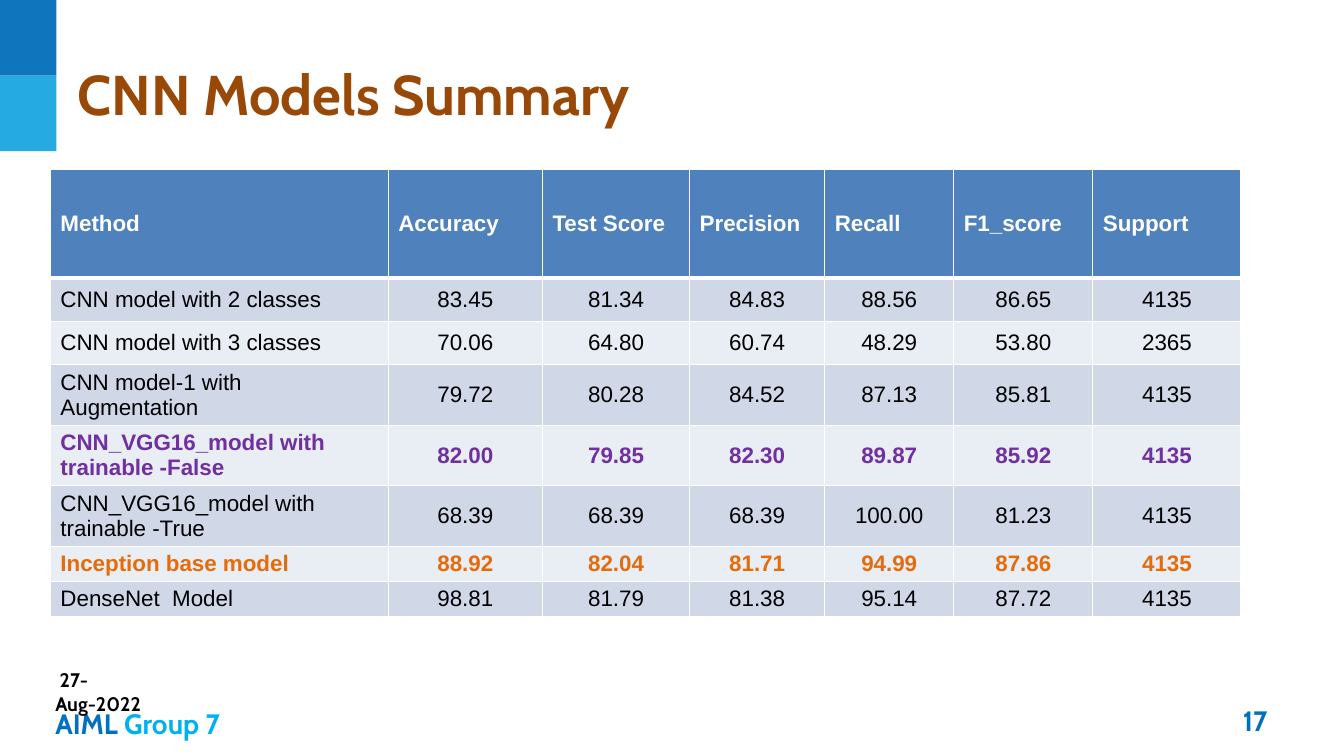
import pptx
import pptx.dml.color
import pptx.enum.shapes
import pptx.enum.text
import pptx.oxml
import pptx.oxml.ns
import pptx.util

Inches = pptx.util.Inches
Pt = pptx.util.Pt
ALIGN = pptx.enum.text.PP_ALIGN
ANCHOR = pptx.enum.text.MSO_ANCHOR

HEADERS = ["Method", "Accuracy", "Test Score", "Precision", "Recall", "F1_score", "Support"]
RESULTS = [
    ["CNN model with 2 classes", "83.45", "81.34", "84.83", "88.56", "86.65", "4135"],
    ["CNN model with 3 classes", "70.06", "64.80", "60.74", "48.29", "53.80", "2365"],
    ["CNN model-1 with Augmentation", "79.72", "80.28", "84.52", "87.13", "85.81", "4135"],
    ["CNN_VGG16_model with trainable -False", "82.00", "79.85", "82.30", "89.87", "85.92", "4135"],
    ["CNN_VGG16_model with trainable -True", "68.39", "68.39", "68.39", "100.00", "81.23", "4135"],
    ["Inception base model", "88.92", "82.04", "81.71", "94.99", "87.86", "4135"],
    ["DenseNet  Model", "98.81", "81.79", "81.38", "95.14", "87.72", "4135"],
]
HIGHLIGHTS = {4: "7030A0", 6: "E46C0A"}
COL_WIDTHS = [3.35, 1.53, 1.46, 1.34, 1.28, 1.38, 1.47]
ROW_HEIGHTS = [1.08, 0.43, 0.43, 0.6, 0.6, 0.6, 0.35, 0.35]


def rgb(value):
    return pptx.dml.color.RGBColor.from_string(value)


class SlideBuilder:
    heading_font = "Cabin"
    table_font = "Arial"
    header_fill = "4F81BD"
    band_fills = ["E9EDF4", "D0D8E8"]
    border = "FFFFFF"

    def __init__(self, prs):
        self.s = prs.slides.add_slide(prs.slide_layouts[5])

    def place(self, sp, at):
        for name, value in zip(("left", "top", "width", "height"), at):
            setattr(sp, name, Inches(value))

    def add_runs(self, tf, runs, size, font, bold=True, align=ALIGN.LEFT):
        p = tf.paragraphs[0]
        p.alignment = align
        for text, color in runs:
            r = p.add_run()
            r.text = text
            style = {"name": font, "size": Pt(size), "bold": bold}
            for name, value in style.items():
                setattr(r.font, name, value)
            r.font.color.rgb = rgb(color)

    def frame(self, sp, anchor):
        tf = sp.text_frame
        settings = {
            "word_wrap": True,
            "auto_size": pptx.enum.text.MSO_AUTO_SIZE.NONE,
            "vertical_anchor": anchor,
        }
        for name, value in settings.items():
            setattr(tf, name, value)
        return tf

    def block(self, at, color):
        sp = self.s.shapes.add_shape(pptx.enum.shapes.MSO_SHAPE.RECTANGLE, *map(Inches, at))
        sp.shadow.inherit = False
        sp.fill.solid()
        sp.fill.fore_color.rgb = rgb(color)
        sp.line.fill.background()

    def title(self, at, text, color):
        sp = self.s.shapes.title
        self.place(sp, at)
        self.add_runs(self.frame(sp, ANCHOR.MIDDLE), [(text, color)], 40, self.heading_font)

    def text(self, at, runs, size=20, align=ALIGN.LEFT, anchor=ANCHOR.MIDDLE):
        sp = self.s.shapes.add_textbox(*map(Inches, at))
        self.add_runs(self.frame(sp, anchor), runs, size, self.heading_font, align=align)

    def borders(self, cell, widths):
        tc_pr = cell._tc.get_or_add_tcPr()
        for side, width in widths.items():
            tc_pr.append(pptx.oxml.parse_xml(
                f'<a:ln{side} {pptx.oxml.ns.nsdecls("a")} w="{Pt(width)}"><a:solidFill>'
                f'<a:srgbClr val="{self.border}"/></a:solidFill></a:ln{side}>'))

    def cell(self, cell, text, fill, color, bold, align, widths):
        self.borders(cell, widths)
        cell.fill.solid()
        cell.fill.fore_color.rgb = rgb(fill)
        cell.vertical_anchor = ANCHOR.MIDDLE
        self.add_runs(cell.text_frame, [(text, color)], 16, self.table_font, bold, align)

    def table(self, left, top, rows, col_widths, row_heights, highlights):
        size = map(Inches, (left, top, sum(col_widths), sum(row_heights)))
        table = self.s.shapes.add_table(len(rows), len(col_widths), *size).table
        for col, width in zip(table.columns, col_widths):
            col.width = Inches(width)
        for row, height in zip(table.rows, row_heights):
            row.height = Inches(height)
        for i, values in enumerate(rows):
            header = i == 0
            fill = self.header_fill if header else self.band_fills[i % 2]
            color = "FFFFFF" if header else highlights.get(i, "000000")
            widths = {"L": 1, "R": 1, "T": 3 if i == 1 else 1, "B": 3 if header else 1}
            for j, value in enumerate(values):
                align = ALIGN.LEFT if header or j == 0 else ALIGN.CENTER
                self.cell(table.cell(i, j), value, fill, color,
                          header or i in highlights, align, widths)


def main():
    prs = pptx.Presentation()
    prs.slide_width = Inches(13.33)
    prs.slide_height = Inches(7.5)
    slide = SlideBuilder(prs)
    for i, color in enumerate(["0F75BD", "25AAE2"]):
        slide.block((0, 0.75 * i, 0.56, 0.75), color)
    slide.text((0.45, 6.98, 4.22, 0.4), [("AIML ", "0070C0"), ("Group 7", "00B0F0")])
    slide.text((9.56, 6.95, 3.11, 0.4), [("17", "0070C0")], align=ALIGN.RIGHT)
    slide.title((0.67, 0.3, 12, 1.25), "CNN Models Summary", "984807")
    slide.table(0.5, 1.68, [HEADERS] + RESULTS, COL_WIDTHS, ROW_HEIGHTS, HIGHLIGHTS)
    slide.text((0.45, 6.58, 1.31, 0.34), [(" 27-Aug-2022", "000000")], 14, anchor=ANCHOR.TOP)
    prs.save("out.pptx")


if __name__ == "__main__":
    main()
